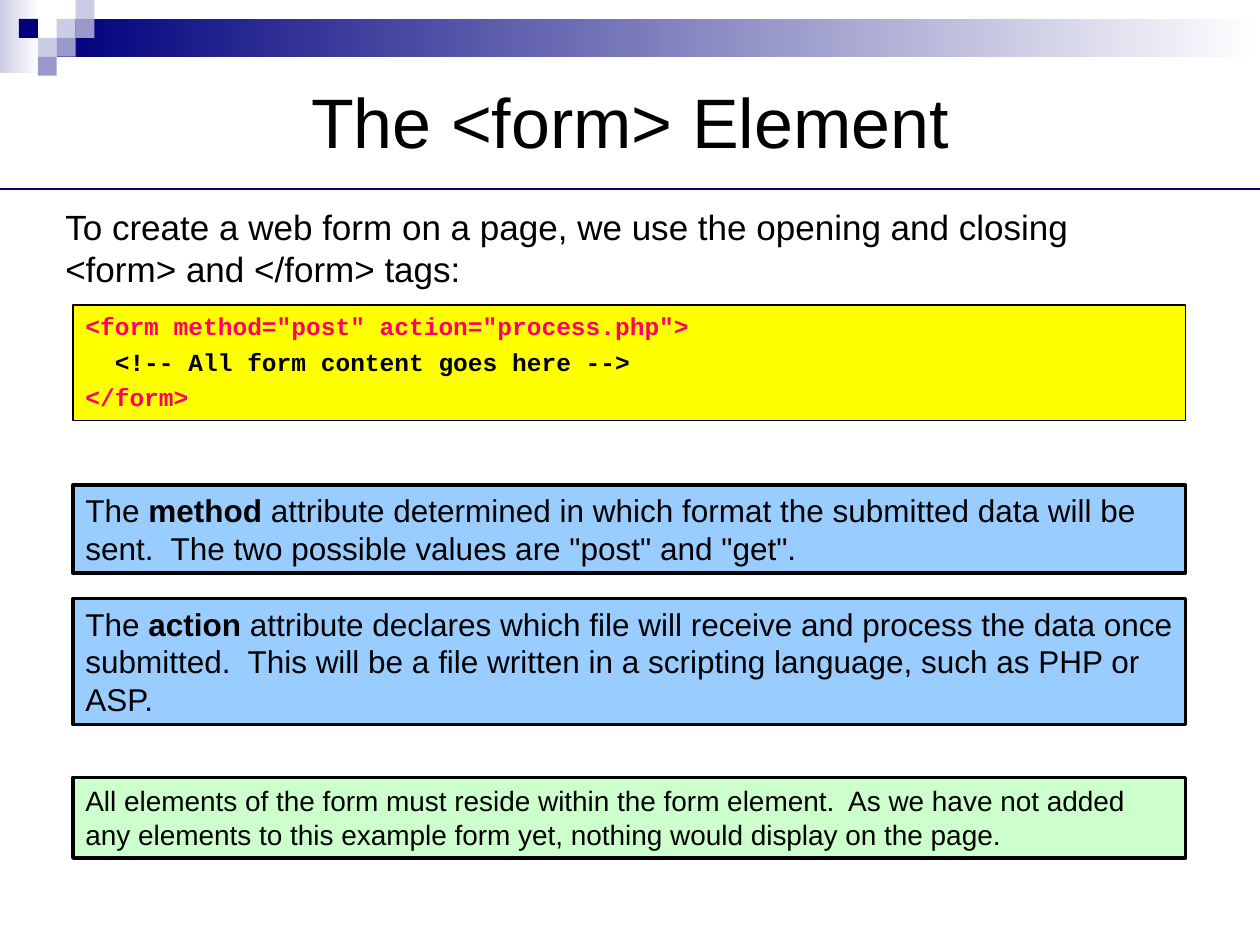
from pptx import Presentation
from pptx import util as u
from pptx.dml.color import RGBColor
from pptx.enum import shapes, text
from pptx.oxml.ns import qn
from lxml import etree

COLORS = {
    "navy": "00007D", "violet": "9999CC", "lilac": "CCCCE6", "white": "FFFFFF",
    "black": "000000", "pink": "FF0066", "yellow": "FFFF00",
    "blue": "99CCFF", "green": "CCFFCC",
}


def rgb(name):
    return RGBColor.from_string(COLORS[name])


def add_box(slide, box, fill, line=None, line_width=2):
    """Rectangle with a plain fill, or a left-to-right gradient for a pair of colours."""
    shape = slide.shapes.add_shape(shapes.MSO_SHAPE.RECTANGLE, *map(u.Inches, box))
    shape.shadow.inherit = False
    if isinstance(fill, tuple):
        shape.fill.gradient()
        shape.fill.gradient_angle = 0
        for stop, color in zip(shape.fill.gradient_stops, fill):
            stop.color.rgb = rgb(color)
    else:
        shape.fill.solid()
        shape.fill.fore_color.rgb = rgb(fill)
    if line:
        shape.line.color.rgb = rgb(line)
        shape.line.width = u.Pt(line_width)
    else:
        shape.line.fill.background()
    return shape


def write(shape, paragraphs, size, font="Arial", align=text.PP_ALIGN.LEFT,
          anchor=text.MSO_ANCHOR.TOP):
    """Each paragraph is a list of (text, bold, colour) runs."""
    frame = shape.text_frame
    frame.word_wrap = True
    frame.vertical_anchor = anchor
    for index, parts in enumerate(paragraphs):
        paragraph = frame.add_paragraph() if index else frame.paragraphs[0]
        paragraph.alignment = align
        for content, bold, color in parts:
            run = paragraph.add_run()
            run.text = content
            run.font.name = font
            run.font.size = u.Pt(size)
            run.font.bold = bold
            run.font.color.rgb = rgb(color)
    return frame


def add_text(slide, box, content, size, **layout):
    shape = slide.shapes.add_textbox(*map(u.Inches, box))
    write(shape, [[(content, False, "black")]], size, **layout)


def add_banner(slide, left, top, width):
    """Gradient bar with a checker of small squares at its left end."""
    cell = 0.15
    add_box(slide, (left, top, 0.31, 0.58), ("lilac", "white"))
    bar_left = left + 3 * cell
    add_box(slide, (bar_left, top + cell, width - 3 * cell, 2 * cell), ("navy", "white"))
    squares = [(3, 1, "lilac"), (4, 0, "lilac"), (4, 1, "violet"), (2, 2, "lilac"),
               (1, 1, "navy"), (3, 2, "violet"), (2, 3, "violet")]
    for column, row, color in squares:
        add_box(slide, (left + column * cell, top + row * cell, cell, cell), color)


def add_rule(slide, left, top, width):
    line = slide.shapes.add_connector(
        shapes.MSO_CONNECTOR.STRAIGHT, u.Inches(left), u.Inches(top),
        u.Inches(left + width), u.Inches(top))
    line.line.color.rgb = rgb("navy")
    line.line.width = u.Pt(1.25)
    etree.SubElement(line._element.spPr, qn("a:effectLst"))


def add_code(slide, box, lines):
    shape = add_box(slide, box, "yellow", "black", 0.75)
    frame = write(shape, [[(content, True, color)] for content, color in lines],
                  14, "Courier New")
    for paragraph in frame.paragraphs:
        paragraph.space_before = u.Pt(3.5)
        properties = paragraph._p.get_or_add_pPr()
        properties.set("marL", str(u.Inches(0.38)))
        properties.set("indent", str(u.Inches(-0.38)))


def add_note(slide, box, parts, fill, size):
    shape = add_box(slide, box, fill, "black")
    frame = write(shape, [[(content, bold, "black") for content, bold in parts]], size)
    frame.auto_size = text.MSO_AUTO_SIZE.SHAPE_TO_FIT_TEXT
    frame.paragraphs[0].space_before = u.Pt(6)
    frame.paragraphs[0].space_after = u.Pt(6)


def main():
    presentation = Presentation()
    presentation.slide_width = u.Inches(10)
    presentation.slide_height = u.Inches(7.5)
    slide = presentation.slides.add_slide(presentation.slide_layouts[6])

    # Header
    add_banner(slide, 0, 0, 10)
    add_text(slide, (0.5, 0.42, 9, 1.08), "The <form> Element", 40,
             align=text.PP_ALIGN.CENTER, anchor=text.MSO_ANCHOR.MIDDLE)
    add_rule(slide, 0, 1.5, 10)

    # Introduction and code example
    add_text(slide, (0.42, 1.58, 9.08, 0.75),
             "To create a web form on a page, we use the opening and closing "
             "<form> and </form> tags:", 20)
    left, width = 0.58, 8.83
    add_code(slide, (left, 2.42, width, 0.92), [
        ('<form method="post" action="process.php">', "pink"),
        ("  <!-- All form content goes here -->", "black"),
        ("</form>", "pink"),
    ])

    # Notes on the attributes and the content
    notes = [
        (3.85, 0.7, "blue", 18, [
            ("The ", False), ("method", True),
            (" attribute determined in which format the submitted data will be sent.  "
             'The two possible values are "post" and "get".', False)]),
        (4.75, 1, "blue", 18, [
            ("The ", False), ("action", True),
            (" attribute declares which file will receive and process the data once "
             "submitted.  This will be a file written in a scripting language, "
             "such as PHP or ASP.", False)]),
        (6.17, 0.64, "green", 16, [
            ("All elements of the form must reside within the form element.  As we have "
             "not added any elements to this example form yet, nothing would display "
             "on the page.", False)]),
    ]
    for top, height, fill, size, parts in notes:
        add_note(slide, (left, top, width, height), parts, fill, size)

    presentation.save("out.pptx")


if __name__ == "__main__":
    main()
